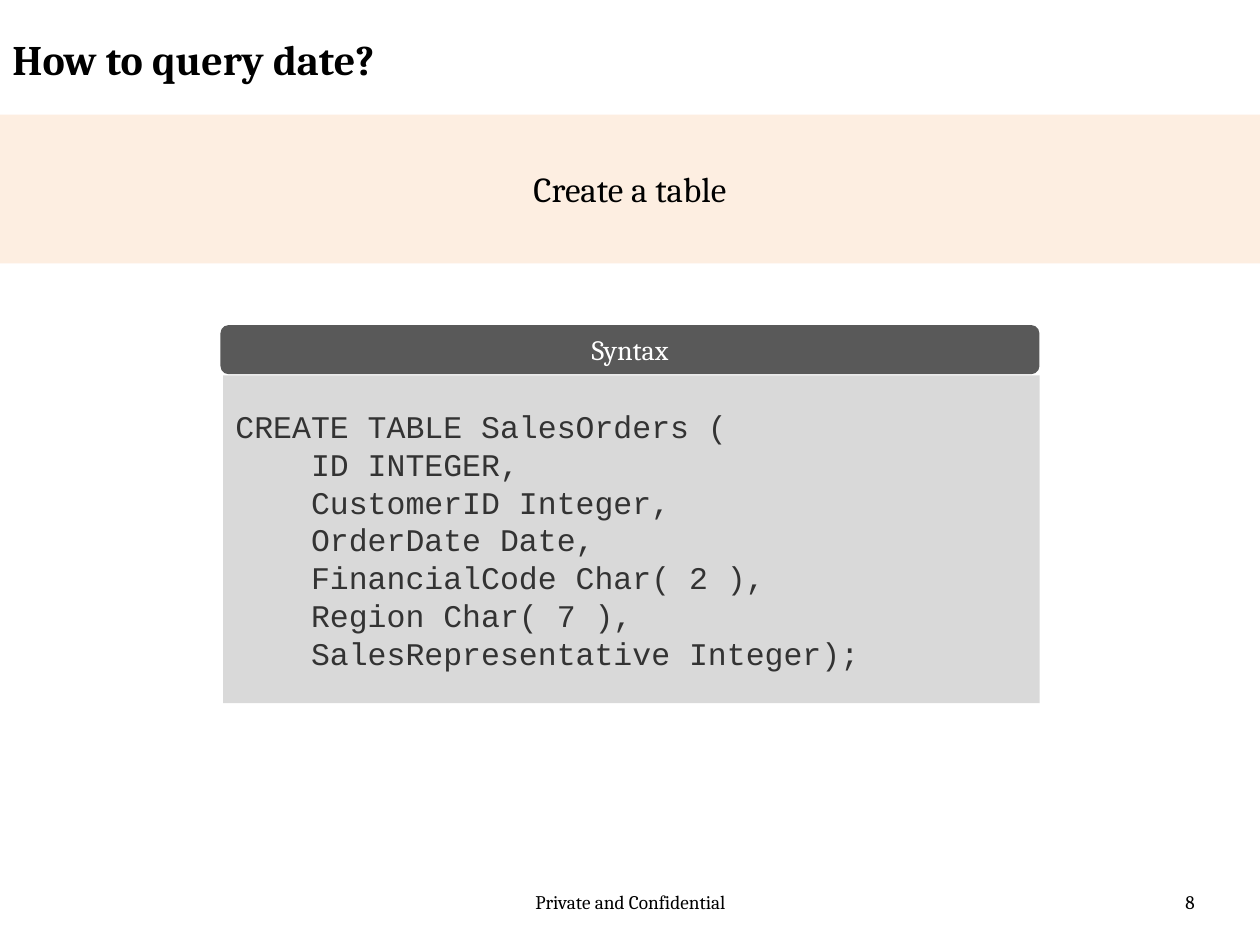
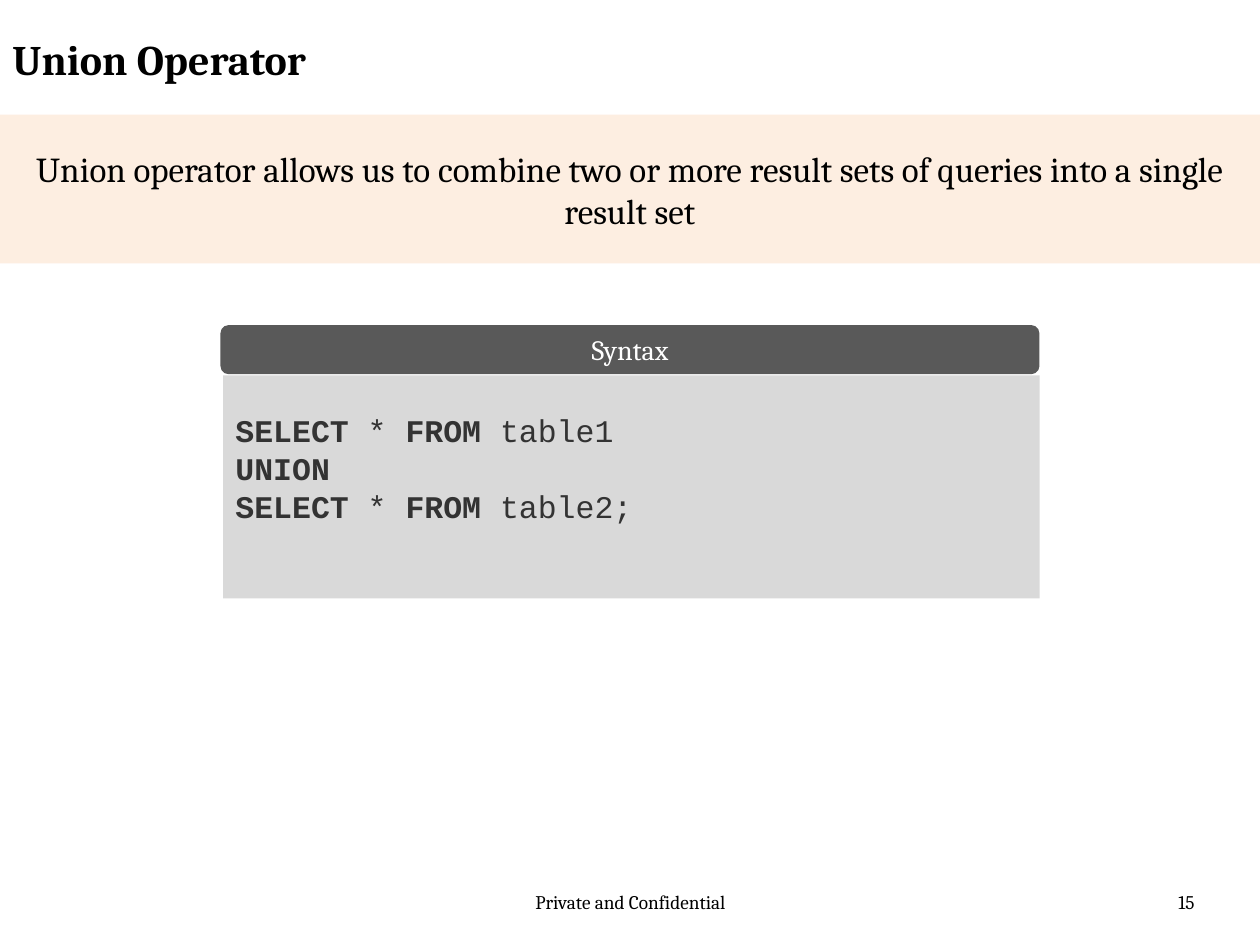
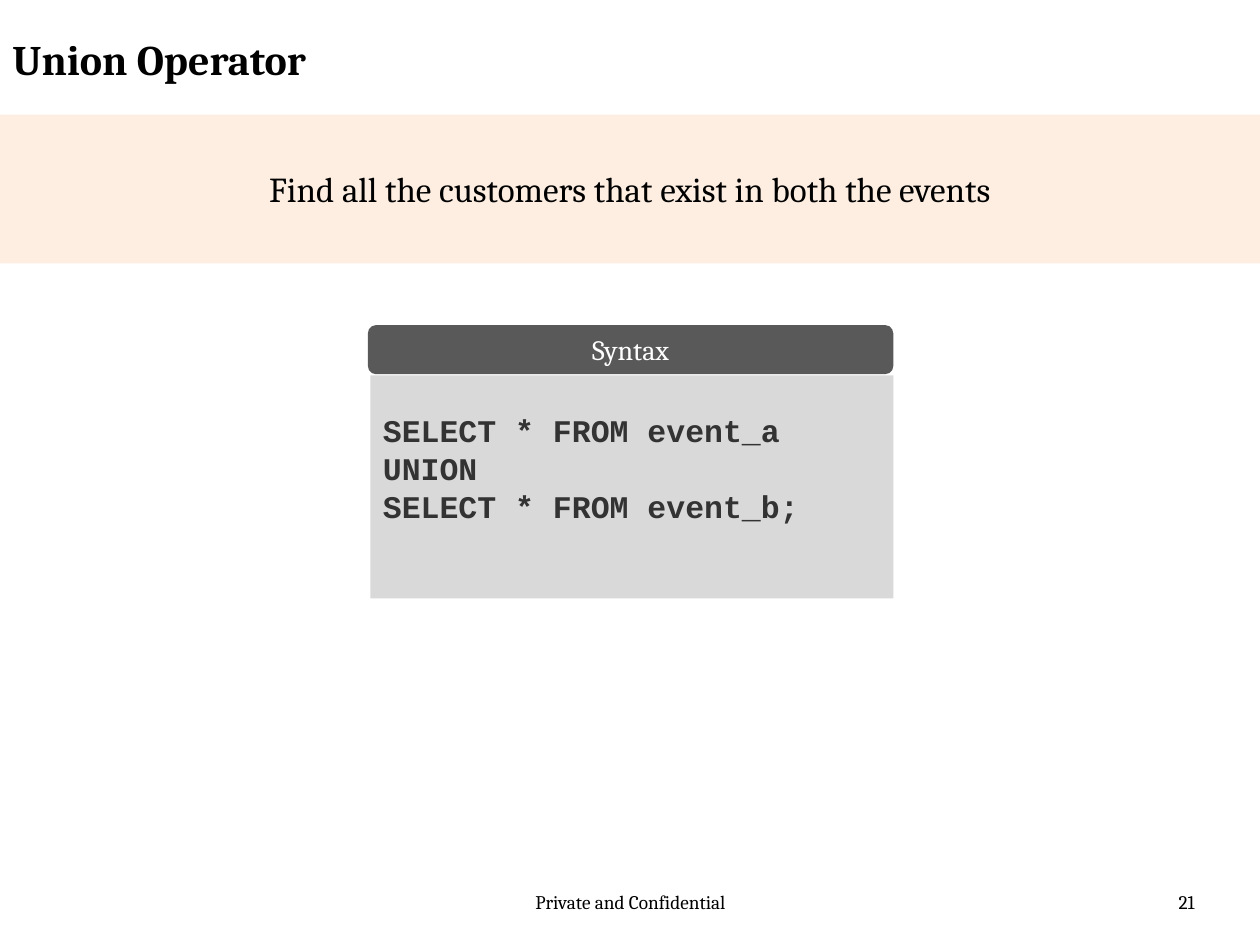
from dataclasses import dataclass
from itertools import cycle

from lxml.etree import SubElement
from pptx import Presentation
from pptx.dml.color import RGBColor
from pptx.enum.shapes import MSO_SHAPE
from pptx.enum.text import MSO_ANCHOR, PP_ALIGN
from pptx.oxml.ns import qn
from pptx.util import Pt

EMU_PER_PX = 9144
SLIDE_WIDTH, SLIDE_HEIGHT = 1000, 750
COLORS = {
    "black": "000000",
    "white": "FFFFFF",
    "band": "FDEADA",
    "header": "595959",
    "panel": "D9D9D9",
    "code": "333333",
}
BAND_ALPHA = 79000
HEADER_TOP, HEADER_HEIGHT = 258, 39
PANEL_TOP = 298
FOOTER_TOP, FOOTER_HEIGHT = 702, 40


@dataclass(frozen=True)
class Box:
    left: int
    top: int
    width: int
    height: int

    def emu(self) -> list[int]:
        return [length * EMU_PER_PX for length in (self.left, self.top, self.width, self.height)]


@dataclass(frozen=True)
class TextStyle:
    size: int
    color: str = "black"
    font: str = "Cambria"
    bold: bool = False
    alignment: PP_ALIGN = PP_ALIGN.CENTER


TITLE_STYLE = TextStyle(24, bold=True, alignment=PP_ALIGN.LEFT)
BAND_STYLE = TextStyle(20)
HEADER_STYLE = TextStyle(16, "white")
CODE_STYLE = TextStyle(18, "code", "Courier New", alignment=PP_ALIGN.LEFT)
FOOTER_STYLE = TextStyle(11)
NUMBER_STYLE = TextStyle(11, alignment=PP_ALIGN.RIGHT)


@dataclass(frozen=True)
class SyntaxPanel:
    left: int
    width: int
    height: int
    lines: tuple[tuple[str, ...], ...]
    bold_cycle: tuple[bool, ...]
    bottom_margin: int = 5


@dataclass(frozen=True)
class SyntaxSlide:
    title: str
    message: str
    number: int
    panel: SyntaxPanel


SLIDES = (
    SyntaxSlide(
        "How to query date?",
        "Create a table",
        8,
        SyntaxPanel(
            175, 650, 260,
            (
                ("CREATE TABLE SalesOrders (",),
                ("    ID INTEGER,",),
                ("    CustomerID Integer,",),
                ("    OrderDate Date,",),
                ("    FinancialCode Char( 2 ),",),
                ("    Region Char( 7 ),",),
                ("    SalesRepresentative Integer);",),
            ),
            (False,),
        ),
    ),
    SyntaxSlide(
        "Union Operator",
        "Union operator allows us to combine two or more result sets of queries "
        "into a single result set",
        15,
        SyntaxPanel(
            175, 650, 177,
            (
                ("SELECT", " * ", "FROM", " table1"),
                ("UNION",),
                ("SELECT", " * ", "FROM", " table2;"),
            ),
            (True, False),
            bottom_margin=35,
        ),
    ),
    SyntaxSlide(
        "Union Operator",
        "Find all the customers that exist in both the events",
        21,
        SyntaxPanel(
            292, 417, 177,
            (("SELECT * FROM event_a",), ("UNION",), ("SELECT * FROM event_b;",)),
            (True,),
            bottom_margin=35,
        ),
    ),
)


def rgb(color: str) -> RGBColor:
    return RGBColor.from_string(COLORS[color])


def format_text(text_frame, style: TextStyle) -> None:
    text_frame.word_wrap = True
    for paragraph in text_frame.paragraphs:
        paragraph.alignment = style.alignment
        for run in paragraph.runs:
            run.font.name = style.font
            run.font.size = Pt(style.size)
            run.font.bold = style.bold
            run.font.color.rgb = rgb(style.color)


def add_text(slide, box: Box, text: str, style: TextStyle) -> None:
    text_frame = slide.shapes.add_textbox(*box.emu()).text_frame
    text_frame.text = text
    format_text(text_frame, style)


def add_block(slide, kind: MSO_SHAPE, box: Box, fill: str, text: str, style: TextStyle):
    shape = slide.shapes.add_shape(kind, *box.emu())
    shape.shadow.inherit = False
    shape.fill.solid()
    shape.fill.fore_color.rgb = rgb(fill)
    shape.line.fill.background()
    shape.text_frame.vertical_anchor = MSO_ANCHOR.MIDDLE
    shape.text_frame.text = text
    format_text(shape.text_frame, style)
    return shape


def add_band(slide, message: str) -> None:
    band = add_block(slide, MSO_SHAPE.RECTANGLE, Box(0, 91, SLIDE_WIDTH, 118),
                     "band", message, BAND_STYLE)
    fill_color = next(band.fill._xPr.iter(qn("a:srgbClr")))
    SubElement(fill_color, qn("a:alpha"), val=str(BAND_ALPHA))


def add_panel(slide, panel: SyntaxPanel) -> None:
    add_block(slide, MSO_SHAPE.ROUNDED_RECTANGLE,
              Box(panel.left, HEADER_TOP, panel.width, HEADER_HEIGHT),
              "header", "Syntax", HEADER_STYLE)
    code = "\n".join("".join(pieces) for pieces in panel.lines)
    body = add_block(slide, MSO_SHAPE.ROUNDED_RECTANGLE,
                     Box(panel.left + 2, PANEL_TOP, panel.width - 2, panel.height),
                     "panel", code, CODE_STYLE)
    body.adjustments[0] = 0
    body.text_frame.margin_bottom = panel.bottom_margin * EMU_PER_PX
    for paragraph, pieces in zip(body.text_frame.paragraphs, panel.lines):
        paragraph.runs[0].text = pieces[0]
        for piece in pieces[1:]:
            paragraph.add_run().text = piece
    format_text(body.text_frame, CODE_STYLE)
    for paragraph in body.text_frame.paragraphs:
        for run, bold in zip(paragraph.runs, cycle(panel.bold_cycle)):
            run.font.bold = bold


def add_footer(slide, number: int) -> None:
    add_text(slide, Box(342, FOOTER_TOP, 317, FOOTER_HEIGHT),
             "Private and Confidential", FOOTER_STYLE)
    add_text(slide, Box(725, FOOTER_TOP, 233, FOOTER_HEIGHT), str(number), NUMBER_STYLE)


def build_slide(presentation, content: SyntaxSlide) -> None:
    slide = presentation.slides.add_slide(presentation.slide_layouts[6])
    add_footer(slide, content.number)
    add_text(slide, Box(0, 22, 759, 62), content.title, TITLE_STYLE)
    add_band(slide, content.message)
    add_panel(slide, content.panel)


def main() -> None:
    presentation = Presentation()
    presentation.slide_width = SLIDE_WIDTH * EMU_PER_PX
    presentation.slide_height = SLIDE_HEIGHT * EMU_PER_PX
    for content in SLIDES:
        build_slide(presentation, content)
    presentation.save("out.pptx")


if __name__ == "__main__":
    main()
